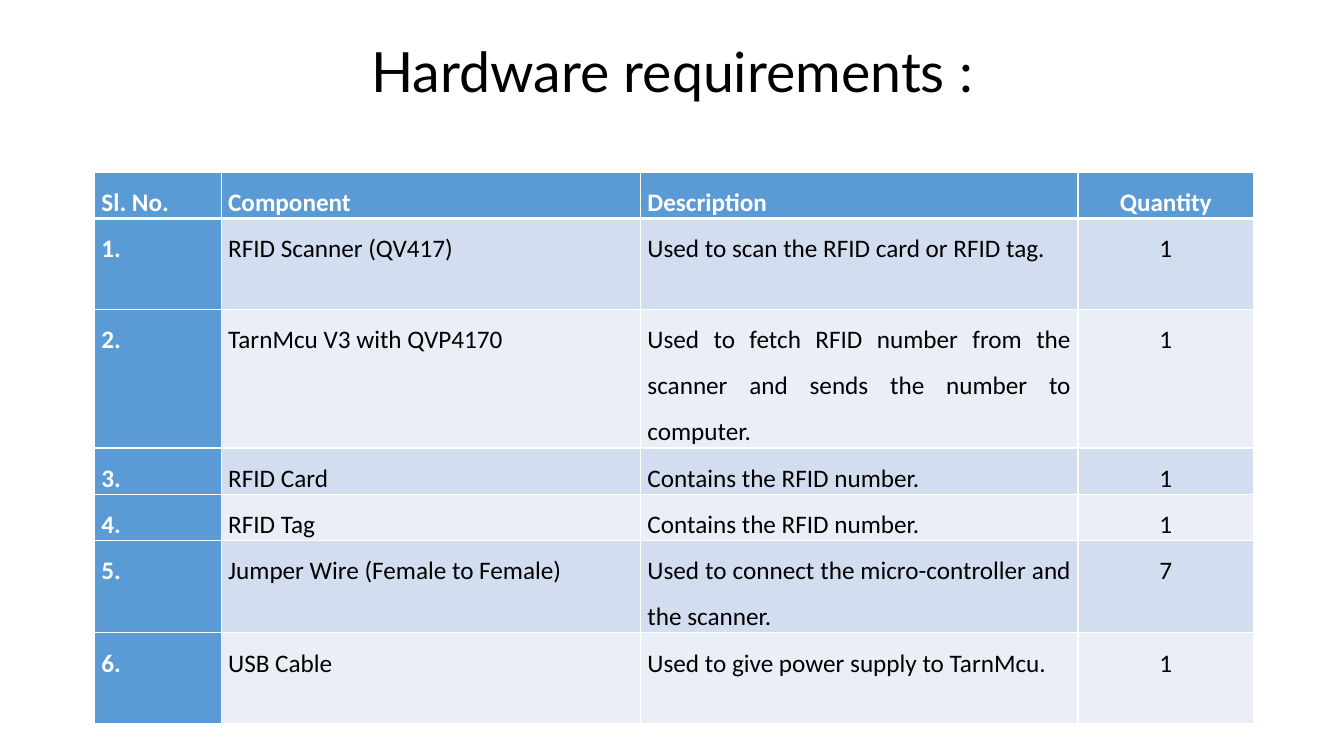
from lxml import etree
from pptx import Presentation
from pptx.dml import color
from pptx.enum import text
from pptx.oxml import ns
from pptx.util import Pt

COLUMN_WIDTHS = [90.5, 299.5, 312.5, 125.5]
ROW_HEIGHTS = [33, 65, 99, 33, 33, 66, 65]
HEADINGS = ["Sl. No.", "Component", "Description", "Quantity"]
COMPONENTS = [
    ("RFID Scanner (QV417)", "Used to scan the RFID card or RFID tag.", 1),
    ("TarnMcu V3 with QVP4170",
     "Used to fetch RFID number from the scanner and sends the number to computer.", 1),
    ("RFID Card", "Contains the RFID number.", 1),
    ("RFID Tag", "Contains the RFID number.", 1),
    ("Jumper Wire (Female to Female)",
     "Used to connect the micro-controller and the scanner.", 7),
    ("USB Cable", "Used to give power supply to TarnMcu.", 1),
]
BLUE, WHITE, BLACK = "5B9BD5", "FFFFFF", "000000"
BANDS = ["EAEFF7", "D2DEEF"]


def rgb(value):
    """Turn a hex string into a colour."""
    return color.RGBColor.from_string(value)


def style_paragraph(para, font, size, ink, bold, align, spacing):
    """Format a paragraph and its runs."""
    para.alignment = align
    para.line_spacing = spacing
    for span in para.runs:
        span.font.name = font
        span.font.size = Pt(size)
        span.font.bold = bold
        span.font.color.rgb = rgb(ink)


def add_title(page, wording):
    """Add the centred heading across the page."""
    box = page.shapes.add_textbox(Pt(10), Pt(28), Pt(940), Pt(92))
    frame = box.text_frame
    frame.word_wrap = True
    frame.vertical_anchor = text.MSO_ANCHOR.TOP
    frame.text = wording
    style_paragraph(frame.paragraphs[0], "Lato", 39.6, BLACK, False,
                    text.PP_ALIGN.CENTER, 0.9)


def add_borders(cell, widths):
    """Draw white cell borders, given a width for each side."""
    properties = cell._tc.get_or_add_tcPr()
    for side, width in widths.items():
        line = etree.SubElement(properties, ns.qn(f"a:ln{side}"), w=str(Pt(width)))
        fill = etree.SubElement(line, ns.qn("a:solidFill"))
        etree.SubElement(fill, ns.qn("a:srgbClr"), val=WHITE)


def fill_cell(cell, wording, row, column):
    """Write and format one cell by its place in the table."""
    accent = row == 0 or column == 0
    align = text.PP_ALIGN.CENTER if column == 3 else text.PP_ALIGN.JUSTIFY
    cell.text = wording
    cell.margin_left = cell.margin_right = Pt(5)
    cell.margin_top = cell.margin_bottom = 0
    style_paragraph(cell.text_frame.paragraphs[0], "Calibri", 18,
                    WHITE if accent else BLACK, accent, align, 1.5)
    add_borders(cell, {"L": 1, "R": 1, "T": 3 if row == 1 else 1,
                       "B": 3 if row == 0 else 1})
    cell.fill.solid()
    cell.fill.fore_color.rgb = rgb(BLUE if accent else BANDS[row % 2])


def add_component_table(page):
    """Add the numbered table of components."""
    rows = [HEADINGS] + [
        [f"{number}.", name, purpose, str(quantity)]
        for number, (name, purpose, quantity) in enumerate(COMPONENTS, 1)]
    table = page.shapes.add_table(
        len(rows), len(HEADINGS), Pt(67.5), Pt(123),
        Pt(sum(COLUMN_WIDTHS)), Pt(sum(ROW_HEIGHTS))).table
    table.first_col = True
    for column, width in zip(table.columns, COLUMN_WIDTHS):
        column.width = Pt(width)
    for row, height in zip(table.rows, ROW_HEIGHTS):
        row.height = Pt(height)
    for row, wordings in enumerate(rows):
        for column, wording in enumerate(wordings):
            fill_cell(table.cell(row, column), wording, row, column)


def main():
    """Build the hardware requirements slide."""
    deck = Presentation()
    deck.slide_width, deck.slide_height = Pt(960), Pt(540)
    page = deck.slides.add_slide(deck.slide_layouts[6])
    add_title(page, "Hardware requirements :")
    add_component_table(page)
    deck.save("out.pptx")


if __name__ == "__main__":
    main()
